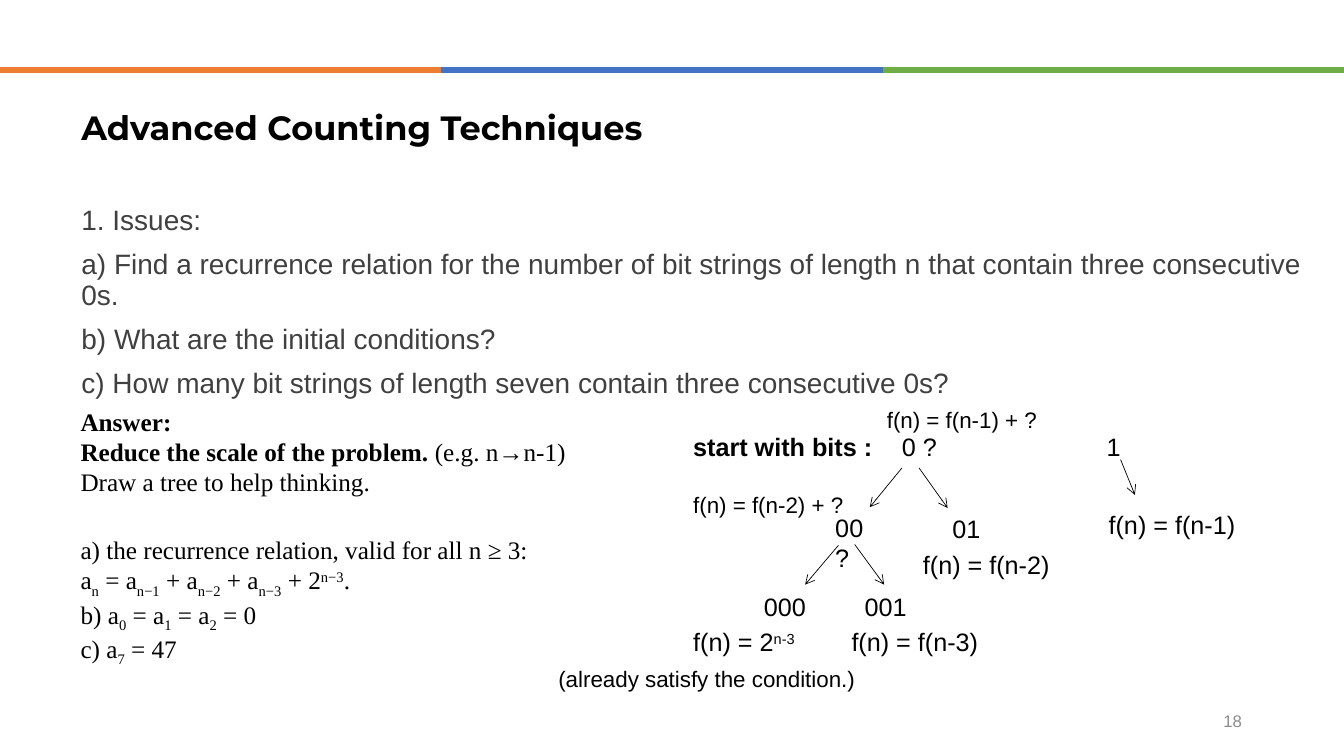
from lxml.etree import SubElement as Sub
from pptx import Presentation
from pptx.dml.color import RGBColor as Rgb
from pptx.enum.shapes import MSO_CONNECTOR as Conn, MSO_SHAPE as Shape
from pptx.enum.text import MSO_ANCHOR as Anchor, PP_ALIGN as Align
from pptx.oxml.ns import qn
from pptx.util import Cm, Pt

THEME = {
    "bars": ["ED7D31", "4472C4", "70AD47"],
    "ink": "000000", "soft": "404040", "pale": "8C8C8C",
    "head": "Montserrat", "sans": "Arial", "serif": "Times New Roman",
    "title": 24, "body": 20, "text": 18, "note": 16, "page": 12,
}
LOW, HIGH = -25000, 30000
BOLD = "bold"

TITLE = [[("Advanced Counting Techniques", BOLD)]]
ISSUES = [
    ["1. Issues:"],
    ["a) Find a recurrence relation for the number of bit strings of length n "
     "that contain three consecutive 0s."],
    ["b) What are the initial conditions?"],
    ["c) How many bit strings of length seven contain three consecutive 0s?"],
]
ANSWER = [
    [("Answer:", BOLD)],
    [("Reduce the scale of the problem.", BOLD), " (e.g. n→n-1)"],
    ["Draw a tree to help thinking."],
]
RESULT = [
    ["a) the recurrence relation, valid for all n ≥ 3:"],
    ["a", ("n", LOW), " = a", ("n−1", LOW), " + a", ("n−2", LOW),
     " + a", ("n−3", LOW), " + 2", ("n−3", HIGH), "."],
    ["b) a", ("0", LOW), " = a", ("1", LOW), " = a", ("2", LOW), " = 0"],
    ["c) a", ("7", LOW), " = 47"],
]
NODES = [
    (17.22, 10.74, 5.05, [("start with bits :", BOLD)]),
    (22.48, 10.74, 1.52, ["0 ?"]),
    (27.64, 10.74, 1.52, ["1"]),
    (27.69, 12.7, 4.62, ["f(n) = f(n-1)"]),
    (20.8, 12.78, 1.32, ["00?"]),
    (23.75, 12.8, 1.32, ["01"]),
    (23.01, 13.72, 4.62, ["f(n) = f(n-2)"]),
    (19, 14.78, 1.8, ["000"]),
    (21.54, 14.78, 1.8, ["001"]),
    (17.22, 15.67, 3.3, ["f(n) = 2", ("n-3", HIGH)]),
    (21.21, 15.67, 4.62, ["f(n) = f(n-3)"]),
]
NOTES = [
    (22.1, 10.11, 4.62, ["f(n) = f(n-1) + ?"]),
    (17.22, 12.24, 4.62, ["f(n) = f(n-2) + ?"]),
    (13.82, 16.64, 8.03, ["(already satisfy the condition.)"]),
]
ARROWS = [
    (28.24, 11.58, 28.6, 12.47),
    (22.73, 11.79, 21.92, 12.78),
    (23.16, 11.79, 23.88, 12.8),
    (21.13, 13.74, 20.29, 14.73),
    (21.54, 13.72, 22.28, 14.73),
]


def tint(name):
    return Rgb.from_string(THEME.get(name, name))


def add_bar(slide, left, hue):
    bar = slide.shapes.add_shape(Shape.RECTANGLE, Cm(left), Cm(1.7), Cm(11.6), Cm(0.13))
    bar.shadow.inherit = False
    bar.fill.solid()
    bar.fill.fore_color.rgb = tint(hue)
    bar.line.color.rgb = tint(hue)
    bar.line.width = Pt(1)


def add_text(slide, box, lines, size, face="sans", hue="ink",
             anchor=Anchor.TOP, align=Align.LEFT, pitch=1.0, gap=0):
    frame = slide.shapes.add_textbox(*map(Cm, box)).text_frame
    frame.word_wrap = True
    frame.vertical_anchor = anchor
    for i, line in enumerate(lines):
        para = frame.add_paragraph() if i else frame.paragraphs[0]
        para.alignment = align
        para.line_spacing = pitch
        para.space_before = Pt(gap if i else 0)
        for part in line:
            text, style = (part, None) if isinstance(part, str) else part
            run = para.add_run()
            run.text = text
            font = run.font
            font.name = THEME[face]
            font.size = Pt(THEME[size])
            font.color.rgb = tint(hue)
            font.bold = style == BOLD
            if style in (LOW, HIGH):
                run._r.get_or_add_rPr().set("baseline", str(style))


def add_arrow(slide, ends):
    arrow = slide.shapes.add_connector(Conn.STRAIGHT, *map(Cm, ends))
    arrow.line.color.rgb = tint("ink")
    arrow.line.width = Pt(0.5)
    Sub(arrow.line._get_or_add_ln(), qn("a:tailEnd"), type="arrow")
    Sub(arrow._element.spPr, qn("a:effectLst"))


def main():
    deck = Presentation()
    deck.slide_width, deck.slide_height = Cm(33.87), Cm(19.05)
    slide = deck.slides.add_slide(deck.slide_layouts[6])
    for i, hue in enumerate(THEME["bars"]):
        add_bar(slide, 11.14 * i, hue)
    add_text(slide, (1.8, 2.13, 29.21, 2.26), TITLE, "title", "head",
             anchor=Anchor.MIDDLE, pitch=0.9)
    add_text(slide, (1.8, 5.08, 31.5, 5.31), ISSUES, "body", hue="soft", pitch=0.9, gap=10)
    add_text(slide, (23.93, 17.65, 7.62, 1.02), [["18"]], "page", hue="pale",
             anchor=Anchor.MIDDLE, align=Align.RIGHT)
    add_text(slide, (1.78, 10.11, 13.03, 2.64), ANSWER, "text", "serif")
    add_text(slide, (1.78, 13.34, 12.32, 3.33), RESULT, "text", "serif")
    for ends in ARROWS:
        add_arrow(slide, ends)
    for size, high, group in (("text", 1.02, NODES), ("note", 0.94, NOTES)):
        for left, top, wide, line in group:
            add_text(slide, (left, top, wide, high), [line], size)
    deck.save("out.pptx")


if __name__ == "__main__":
    main()
